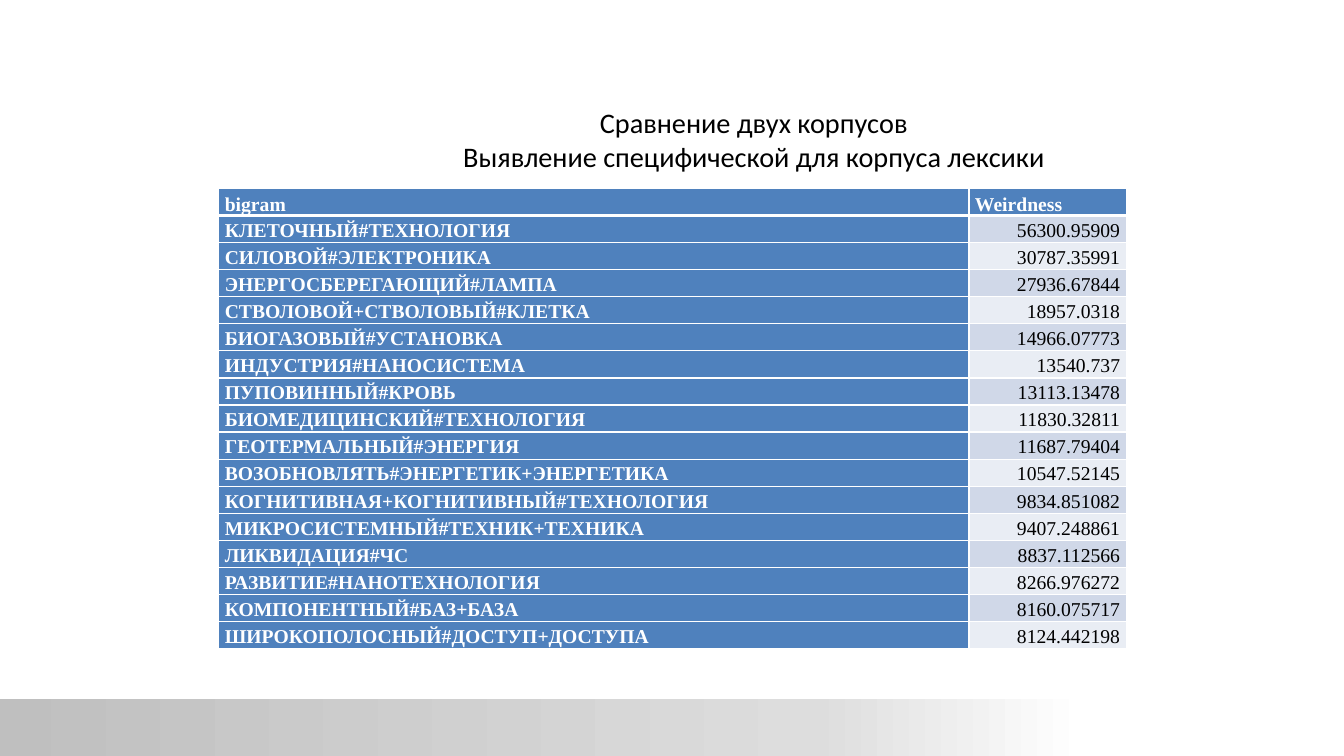
"""Build a slide with a table of corpus-specific bigrams and their weirdness."""
import copy

import lxml.etree
import pptx
import pptx.dml.color
import pptx.enum.shapes
import pptx.enum.text
import pptx.oxml.ns
import pptx.util

Inches = pptx.util.Inches
Pt = pptx.util.Pt
RGBColor = pptx.dml.color.RGBColor
Align = pptx.enum.text.PP_ALIGN
Anchor = pptx.enum.text.MSO_ANCHOR
qn = pptx.oxml.ns.qn

WHITE = RGBColor(0xFF, 0xFF, 0xFF)
BLACK = RGBColor(0x00, 0x00, 0x00)
BLUE = RGBColor(0x4F, 0x81, 0xBD)
BAND_DARK = RGBColor(0xD0, 0xD8, 0xE8)
BAND_LIGHT = RGBColor(0xE9, 0xED, 0xF4)
FOOTER_STOPS = [
    (0, RGBColor(0xBF, 0xBF, 0xBF)),
    (0.75, RGBColor(0xDD, 0xDD, 0xDD)),
    (1, WHITE),
]

TITLE = "Сравнение двух корпусов\vВыявление специфической для корпуса лексики"
HEADER = ("bigram", "Weirdness")
BIGRAMS = [
    ("КЛЕТОЧНЫЙ#ТЕХНОЛОГИЯ", "56300.95909"),
    ("СИЛОВОЙ#ЭЛЕКТРОНИКА", "30787.35991"),
    ("ЭНЕРГОСБЕРЕГАЮЩИЙ#ЛАМПА", "27936.67844"),
    ("СТВОЛОВОЙ+СТВОЛОВЫЙ#КЛЕТКА", "18957.0318"),
    ("БИОГАЗОВЫЙ#УСТАНОВКА", "14966.07773"),
    ("ИНДУСТРИЯ#НАНОСИСТЕМА", "13540.737"),
    ("ПУПОВИННЫЙ#КРОВЬ", "13113.13478"),
    ("БИОМЕДИЦИНСКИЙ#ТЕХНОЛОГИЯ", "11830.32811"),
    ("ГЕОТЕРМАЛЬНЫЙ#ЭНЕРГИЯ", "11687.79404"),
    ("ВОЗОБНОВЛЯТЬ#ЭНЕРГЕТИК+ЭНЕРГЕТИКА", "10547.52145"),
    ("КОГНИТИВНАЯ+КОГНИТИВНЫЙ#ТЕХНОЛОГИЯ", "9834.851082"),
    ("МИКРОСИСТЕМНЫЙ#ТЕХНИК+ТЕХНИКА", "9407.248861"),
    ("ЛИКВИДАЦИЯ#ЧС", "8837.112566"),
    ("РАЗВИТИЕ#НАНОТЕХНОЛОГИЯ", "8266.976272"),
    ("КОМПОНЕНТНЫЙ#БАЗ+БАЗА", "8160.075717"),
    ("ШИРОКОПОЛОСНЫЙ#ДОСТУП+ДОСТУПА", "8124.442198"),
]


def style_paragraph(paragraph, font_name, size, color, align, bold=False):
    """Set the alignment and font of a paragraph."""
    paragraph.alignment = align
    paragraph.font.name = font_name
    paragraph.font.size = Pt(size)
    paragraph.font.color.rgb = color
    paragraph.font.bold = bold


def add_footer_band(slide):
    """Add the grey band that fades out along the bottom edge."""
    band = slide.shapes.add_shape(
        pptx.enum.shapes.MSO_SHAPE.RECTANGLE,
        Inches(-0.03), Inches(6.93), Inches(10.79), Inches(0.58))
    band.shadow.inherit = False
    band.line.fill.background()
    band.fill.gradient()
    band.fill.gradient_angle = 0
    stop_list = next(band._element.spPr.iter(qn("a:gsLst")))
    stop_list.append(copy.deepcopy(stop_list[-1]))
    for stop, (position, color) in zip(band.fill.gradient_stops, FOOTER_STOPS):
        stop.position = position
        stop.color.rgb = color


def add_title(slide):
    """Add the two-line centred title."""
    title = slide.shapes.add_textbox(
        Inches(3.28), Inches(0.91), Inches(8.39), Inches(0.94))
    frame = title.text_frame
    frame.word_wrap = True
    frame.vertical_anchor = Anchor.MIDDLE
    frame.text = TITLE
    style_paragraph(frame.paragraphs[0], "Calibri", 20.2, BLACK, Align.CENTER)


def set_borders(cell, widths):
    """Draw white borders of the given point widths around a cell."""
    properties = cell._tc.get_or_add_tcPr()
    for index, (side, width) in enumerate(widths.items()):
        border = lxml.etree.Element(qn(f"a:ln{side}"), w=str(Pt(width)))
        fill = lxml.etree.SubElement(border, qn("a:solidFill"))
        lxml.etree.SubElement(fill, qn("a:srgbClr"), val=str(WHITE))
        properties.insert(index, border)


def fill_cell(cell, text, row, column):
    """Write and format a cell by its place in the table."""
    is_header = row == 0
    is_label = is_header or column == 0
    band = BAND_DARK if row % 2 else BAND_LIGHT
    cell.text = text
    cell.margin_left = cell.margin_right = Inches(0.06)
    cell.margin_top = cell.margin_bottom = 0
    cell.vertical_anchor = Anchor.BOTTOM if is_header else Anchor.MIDDLE
    cell.fill.solid()
    cell.fill.fore_color.rgb = BLUE if is_label else band
    paragraph = cell.text_frame.paragraphs[0]
    paragraph.line_spacing = 1.15
    style_paragraph(paragraph, "Times New Roman", 14,
                    WHITE if is_label else BLACK,
                    Align.LEFT if is_label else Align.RIGHT, is_label)
    set_borders(cell, {"L": 1, "R": 1, "T": 3 if row == 1 else 1,
                       "B": 3 if is_header else 1})


def add_bigram_table(slide):
    """Add the table of bigrams ranked by weirdness."""
    rows = [HEADER, *BIGRAMS]
    table = slide.shapes.add_table(
        len(rows), len(HEADER),
        Inches(2.17), Inches(1.87), Inches(9), Inches(4.4)).table
    for column, width in zip(table.columns, (7.44, 1.56)):
        column.width = Inches(width)
    for row, values in enumerate(rows):
        for column, text in enumerate(values):
            fill_cell(table.cell(row, column), text, row, column)


def main():
    """Build the slide and save it."""
    presentation = pptx.Presentation()
    presentation.slide_width = Inches(13.33)
    presentation.slide_height = Inches(7.5)
    slide = presentation.slides.add_slide(presentation.slide_layouts[6])
    add_footer_band(slide)
    add_title(slide)
    add_bigram_table(slide)
    presentation.save("out.pptx")


if __name__ == "__main__":
    main()
